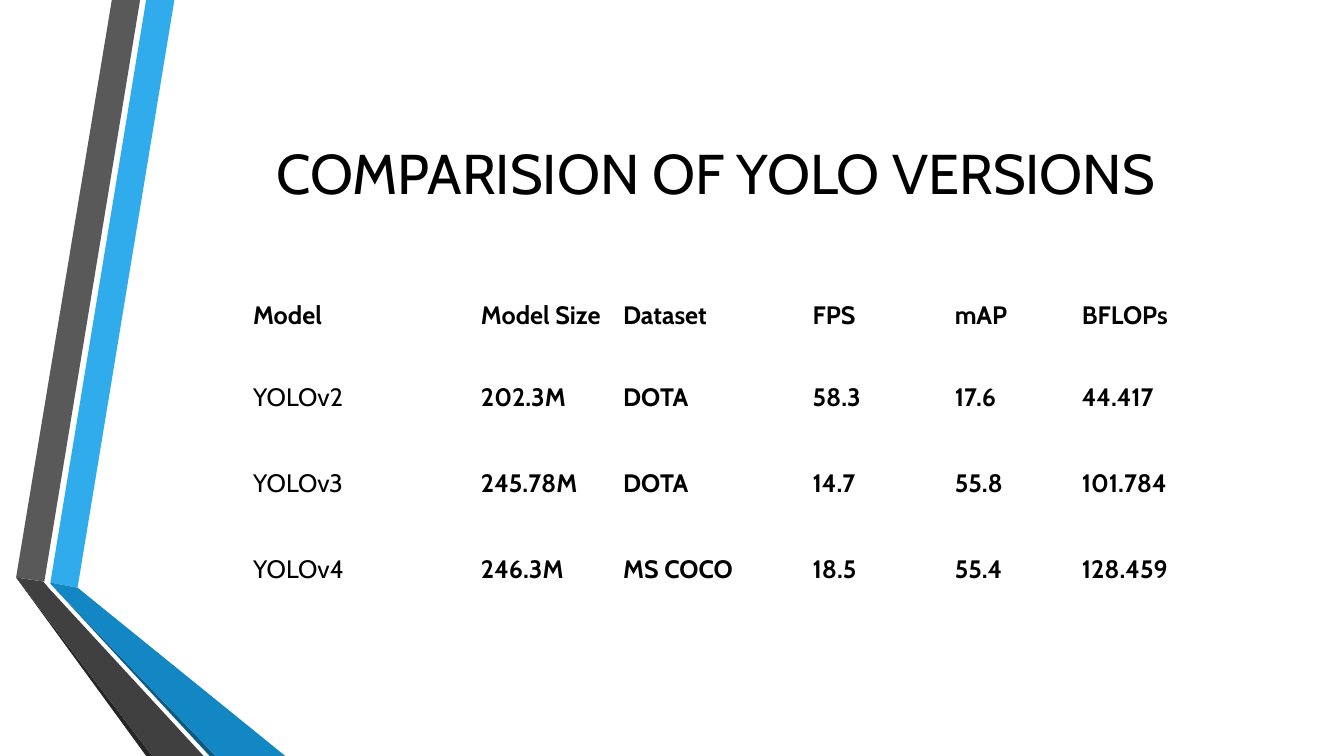
"""Build a slide comparing YOLO versions in a table beside folded ribbons."""
import dataclasses

import pptx
import pptx.dml.color
import pptx.enum.text
import pptx.util

TITLE = "COMPARISION OF YOLO VERSIONS"
ROWS = [
    ("Model", "Model Size", "Dataset", "FPS", "mAP", "BFLOPs"),
    ("YOLOv2", "202.3M", "DOTA", "58.3", "17.6", "44.417"),
    ("YOLOv3", "245.78M", "DOTA", "14.7", "55.8", "101.784"),
    ("YOLOv4", "246.3M", "MS COCO", "18.5", "55.4", "128.459"),
    ("", "", "", "", "", ""),
]
COLUMN_WIDTHS = (2.33, 1.41, 1.88, 1.41, 1.26, 1.6)
HEADER_HEIGHT, ROW_HEIGHT = 0.55, 0.85
TABLE_LEFT, TABLE_TOP = 2.44, 2.96
TITLE_BOX = (1.62, 0.75, 10.96, 1.92)
SLIDE_WIDTH, SLIDE_HEIGHT = 13.33, 7.5


@dataclasses.dataclass(frozen=True)
class Theme:
    font: str = "Cabin"
    title_size: int = 40
    table_size: int = 18
    text: str = "000000"
    blue: str = "30ACEC"
    blue_fold: str = "1287C3"
    blue_edge: str = "0C5A82"
    gray: str = "595959"
    gray_fold: str = "404040"
    gray_edge: str = "262626"


THEME = Theme()
RIBBONS = [
    (THEME.blue, [(0.5, 5.78), (0.77, 5.83), (1.73, 0), (1.45, 0)]),
    (THEME.gray, [(1.39, 0), (1.11, 0), (0.16, 5.73), (0.44, 5.77)]),
    (THEME.gray_edge, [(0.16, 5.73), (1.45, 7.5), (1.51, 7.5)]),
    (THEME.blue_edge, [(0.5, 5.79), (2.08, 7.5), (2.14, 7.5)]),
    (THEME.blue_fold, [(0.5, 5.79), (2.14, 7.5), (2.83, 7.5), (0.77, 5.83), (0.5, 5.78)]),
    (THEME.gray_fold, [(2.02, 7.5), (0.48, 5.83), (0.43, 5.77), (0.16, 5.73), (1.51, 7.5)]),
]


def color(value):
    return pptx.dml.color.RGBColor.from_string(value)


def format_runs(paragraph, size, bold=False):
    for run in paragraph.runs:
        run.font.name = THEME.font
        run.font.size = pptx.util.Pt(size)
        run.font.bold = bold
        run.font.color.rgb = color(THEME.text)


def add_ribbon(slide, fill, points):
    corners = [(pptx.util.Inches(x), pptx.util.Inches(y)) for x, y in points]
    builder = slide.shapes.build_freeform(*corners[0])
    builder.add_line_segments(corners[1:], close=True)
    shape = builder.convert_to_shape()
    shape.shadow.inherit = False
    shape.fill.solid()
    shape.fill.fore_color.rgb = color(fill)
    shape.line.fill.background()


def format_title(slide):
    title = slide.shapes.title
    title.left, title.top, title.width, title.height = map(pptx.util.Inches, TITLE_BOX)
    frame = title.text_frame
    frame.text = TITLE
    frame.word_wrap = True
    frame.auto_size = pptx.enum.text.MSO_AUTO_SIZE.NONE
    frame.vertical_anchor = pptx.enum.text.MSO_ANCHOR.MIDDLE
    frame.paragraphs[0].alignment = pptx.enum.text.PP_ALIGN.CENTER
    format_runs(frame.paragraphs[0], THEME.title_size)
    slide.shapes._spTree.append(title._element)


def fill_cell(cell, text, is_header, is_first):
    cell.fill.background()
    cell.margin_left = cell.margin_top = cell.margin_bottom = 0
    cell.margin_right = pptx.util.Inches(0.08)
    if not is_header:
        cell.vertical_anchor = pptx.enum.text.MSO_ANCHOR.MIDDLE
    cell.text_frame.text = text
    paragraph = cell.text_frame.paragraphs[0]
    paragraph.line_spacing = 1.07
    if is_first:
        paragraph._p.get_or_add_pPr().set("marL", str(pptx.util.Inches(0.07)))
    format_runs(paragraph, THEME.table_size, bold=is_header or not is_first)


def add_comparison(slide):
    heights = [HEADER_HEIGHT] + [ROW_HEIGHT] * (len(ROWS) - 1)
    box = (TABLE_LEFT, TABLE_TOP, sum(COLUMN_WIDTHS), sum(heights))
    table = slide.shapes.add_table(
        len(ROWS), len(COLUMN_WIDTHS), *map(pptx.util.Inches, box)
    ).table
    table.first_row = table.horz_banding = False
    for column, width in zip(table.columns, COLUMN_WIDTHS):
        column.width = pptx.util.Inches(width)
    for row_index, (row, height) in enumerate(zip(table.rows, heights)):
        row.height = pptx.util.Inches(height)
        for column_index, text in enumerate(ROWS[row_index]):
            fill_cell(row.cells[column_index], text, row_index == 0, column_index == 0)


def main():
    presentation = pptx.Presentation()
    presentation.slide_width = pptx.util.Inches(SLIDE_WIDTH)
    presentation.slide_height = pptx.util.Inches(SLIDE_HEIGHT)
    slide = presentation.slides.add_slide(presentation.slide_layouts[5])
    for fill, points in RIBBONS:
        add_ribbon(slide, fill, points)
    format_title(slide)
    add_comparison(slide)
    presentation.save("out.pptx")


if __name__ == "__main__":
    main()
